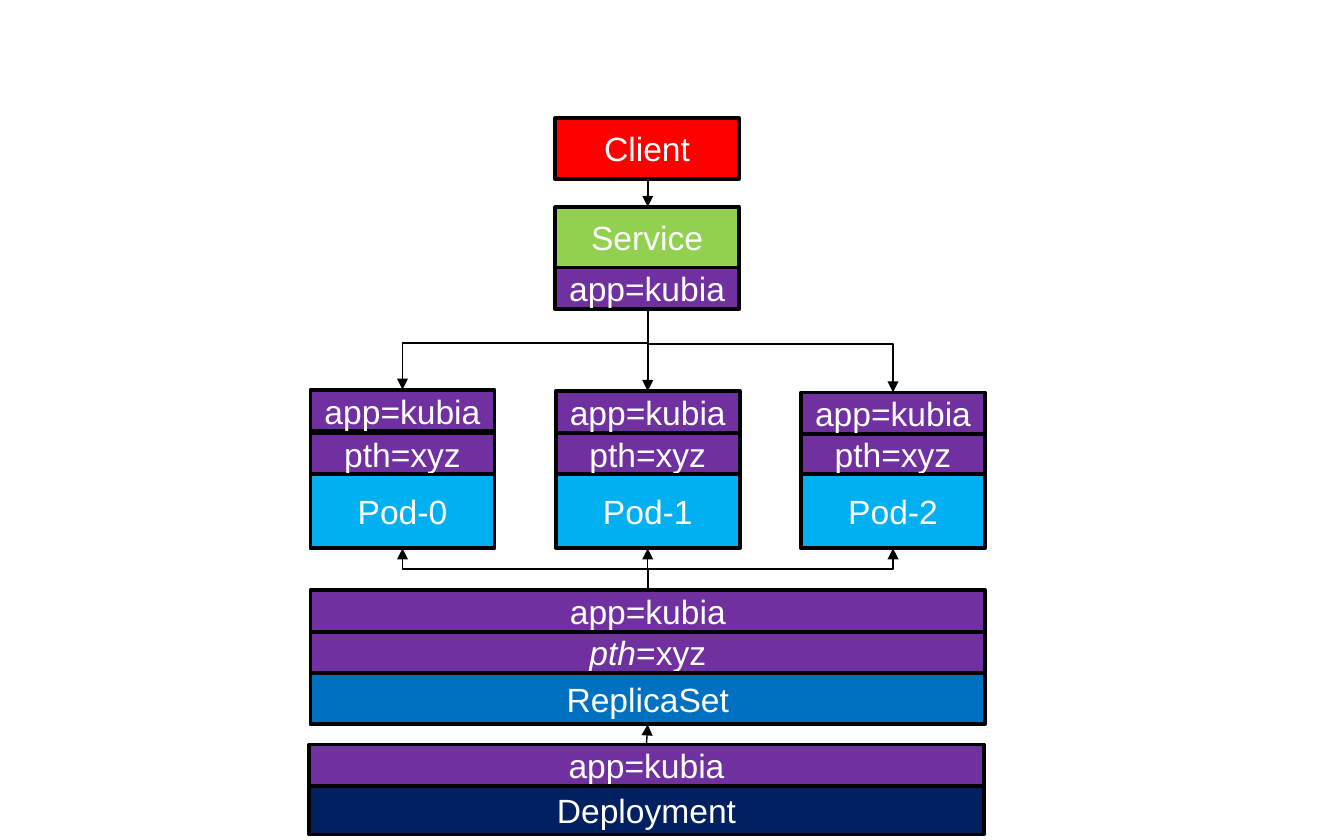
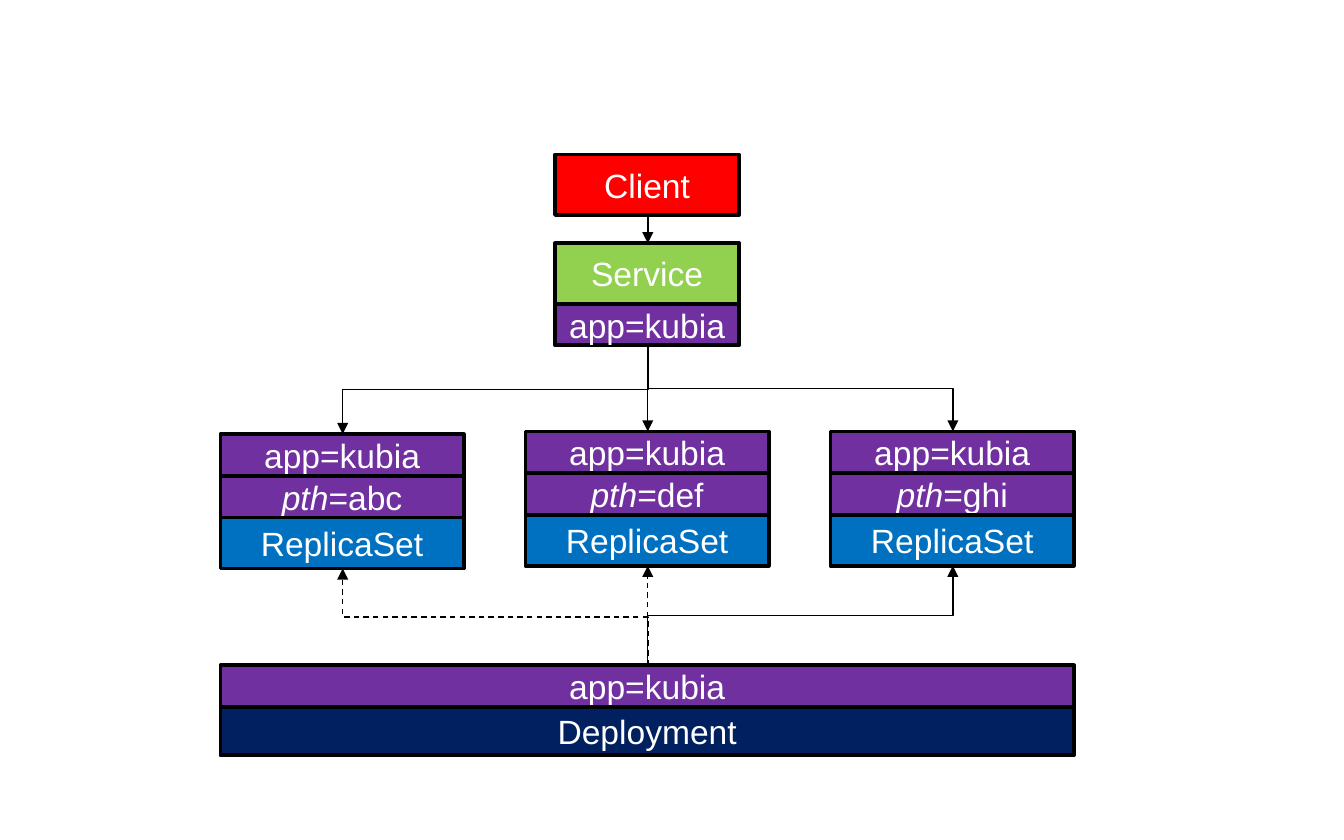
from lxml import etree
from pptx import Presentation
from pptx import util as u
from pptx.dml.color import RGBColor
from pptx.enum import dml, shapes, text
from pptx.oxml.ns import qn

COLORS = {
    "client": "FF0000",
    "service": "92D050",
    "label": "7030A0",
    "pod": "00B0F0",
    "replicaset": "0070C0",
    "deployment": "002060",
    "outline": "000000",
    "text": "FFFFFF",
}
HEIGHTS = {
    "client": 0.45,
    "service": 0.45,
    "label": 0.31,
    "pod": 0.55,
    "replicaset": 0.38,
    "deployment": 0.36,
}
FRAME = {
    "word_wrap": False,
    "vertical_anchor": text.MSO_ANCHOR.MIDDLE,
    "margin_top": 0,
    "margin_bottom": 0,
}
FONT = {"name": "Arial", "size": u.Pt(18)}
AXIS = 4.82
SERVICE_LEFT = 4.13
NARROW = 1.37
APP = ("label", "app=kubia")


def color(role):
    return RGBColor.from_string(COLORS[role])


def apply(target, values):
    for name, value in values.items():
        setattr(target, name, value)


def add_box(slide, left, top, width, role, words):
    box = slide.shapes.add_shape(
        shapes.MSO_SHAPE.RECTANGLE,
        *map(u.Inches, (left, top, width, HEIGHTS[role])))
    box.shadow.inherit = False
    box.fill.solid()
    box.fill.fore_color.rgb = color(role)
    box.line.color.rgb = color("outline")
    box.line.width = u.Pt(2)
    apply(box.text_frame, FRAME)
    paragraph = box.text_frame.paragraphs[0]
    paragraph.alignment = text.PP_ALIGN.CENTER
    pieces = [words] if isinstance(words, str) else words
    for index, piece in enumerate(pieces):
        run = paragraph.add_run()
        run.text = piece
        apply(run.font, FONT)
        run.font.color.rgb = color("text")
        if len(pieces) > 1:
            run.font.italic = index == 0


def add_stack(slide, left, top, width, *layers):
    for role, words in layers:
        add_box(slide, left, top, width, role, words)
        top += HEIGHTS[role]


def add_arrow(slide, start, end, weight=0.75, dashed=False, bend=None):
    (x1, y1), (x2, y2) = start, end
    elbow = abs(x2 - x1) > 0.1
    kind = shapes.MSO_CONNECTOR.STRAIGHT
    turn = 1
    if elbow:
        kind = shapes.MSO_CONNECTOR.ELBOW
        middle_x, middle_y = (x1 + x2) / 2, (y1 + y2) / 2
        half_x, half_y = (x2 - x1) / 2, (y2 - y1) / 2
        turn = 1 if half_x * half_y < 0 else -1
        x1, y1 = middle_x - turn * half_y, middle_y + turn * half_x
        x2, y2 = middle_x + turn * half_y, middle_y - turn * half_x
    arrow = slide.shapes.add_connector(kind, *map(u.Inches, (x1, y1, x2, y2)))
    arrow.line.color.rgb = color("outline")
    arrow.line.width = u.Pt(weight)
    if dashed:
        arrow.line.dash_style = dml.MSO_LINE.DASH
    properties = arrow._element.spPr
    if elbow:
        properties.find(qn("a:xfrm")).set("rot", str(turn * 90 % 360 * 60000))
    if elbow and bend:
        guides = properties.find(qn("a:prstGeom")).find(qn("a:avLst"))
        etree.SubElement(guides, qn("a:gd"), name="adj1",
                         fmla=f"val {round(bend * 100000)}")
    etree.SubElement(properties.find(qn("a:ln")), qn("a:tailEnd"),
                     type="triangle")
    etree.SubElement(properties, qn("a:effectLst"))


def add_entry(slide, top):
    add_stack(slide, SERVICE_LEFT, top, NARROW, ("client", "Client"))
    add_stack(slide, SERVICE_LEFT, top + 0.66, NARROW,
              ("service", "Service"), APP)
    add_arrow(slide, (AXIS, top + 0.45), (AXIS, top + 0.66), weight=1)


def add_replicaset(slide, left, top, width, template_hash):
    add_stack(slide, left, top, width, APP,
              ("label", ("pth", f"={template_hash}")),
              ("replicaset", "ReplicaSet"))


def add_deployment(slide, left, top, width):
    add_stack(slide, left, top, width, APP, ("deployment", "Deployment"))


def build_pods(slide):
    add_entry(slide, 0.88)
    add_replicaset(slide, 2.31, 4.39, 5.02, "xyz")
    add_deployment(slide, 2.3, 5.54, 5.02)
    for number in range(3):
        left = 2.31 + 1.825 * number
        center = AXIS + 1.825 * (number - 1)
        top = 2.9 + 0.01 * number
        add_stack(slide, left, 3.22, NARROW,
                  ("label", "pth=xyz"), ("pod", f"Pod-{number}"))
        add_stack(slide, left, top, NARROW, APP)
        add_arrow(slide, (AXIS, 2.3), (center, top), weight=1, bend=0.42)
        add_arrow(slide, (AXIS, 4.39), (center, 4.08),
                  weight=0.75 if number == 1 else 1)
    add_arrow(slide, (4.81, 5.54), (AXIS, 5.39))


def build_replicasets(slide):
    add_entry(slide, 1.15)
    add_deployment(slide, 1.64, 4.95, 6.35)
    versions = [("abc", 3.23, True), ("def", 3.21, True), ("ghi", 3.21, False)]
    for number, (template_hash, top, retired) in enumerate(versions):
        center = AXIS + 2.27 * (number - 1)
        add_replicaset(slide, 1.64 + 2.27 * number, top, 1.81, template_hash)
        add_arrow(slide, (AXIS, 2.57), (center, top))
        add_arrow(slide, (AXIS, 4.95), (center, top + 1), dashed=retired)


def main():
    deck = Presentation()
    deck.slide_width, deck.slide_height = u.Inches(10), u.Inches(6.25)
    for build in (build_pods, build_replicasets):
        build(deck.slides.add_slide(deck.slide_layouts[6]))
    deck.save("out.pptx")


if __name__ == "__main__":
    main()
